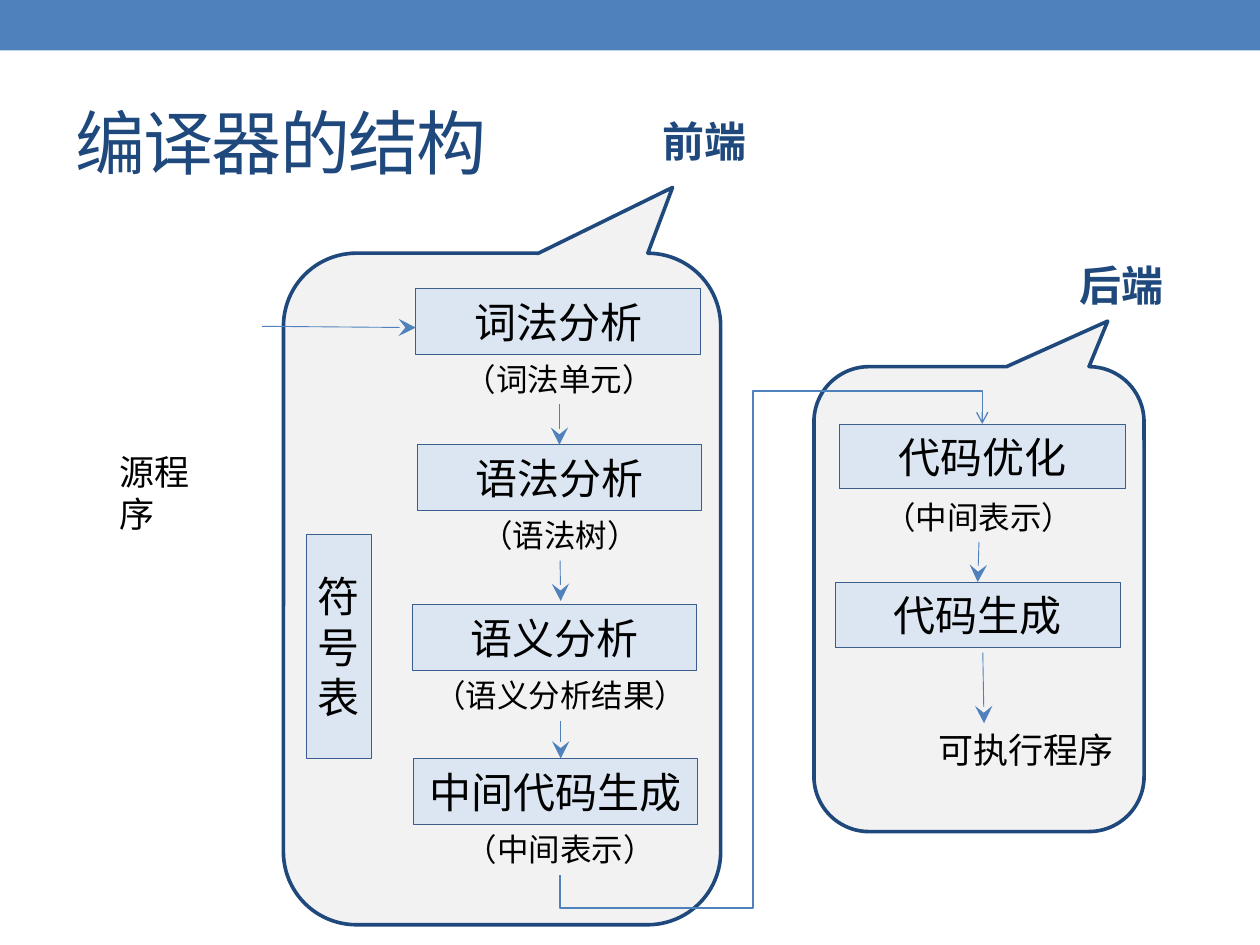
from lxml import etree
from pptx import Presentation
from pptx.dml.color import RGBColor
from pptx.enum import shapes as es, text as et
from pptx.oxml.ns import qn
from pptx.util import Inches, Pt

SANS = "Noto Sans CJK SC"
NAVY, BLUE, PALE, EDGE = "1F497D", "4F81BD", "DCE6F2", "3A5F8C"
LEFT, MID = et.PP_ALIGN.LEFT, et.PP_ALIGN.CENTER


def rgb(hexa):
    return RGBColor.from_string(hexa)


def write(frame, *parts, size=24, color="000000", bold=False, align=LEFT,
          anchor=et.MSO_ANCHOR.TOP, wrap=True, space=None):
    """Fill a frame with one paragraph; each part is text or (text, font)."""
    frame.word_wrap = wrap
    frame.vertical_anchor = anchor
    para = frame.paragraphs[0]
    para.alignment = align
    for part in parts:
        words, face = (part, SANS) if isinstance(part, str) else part
        run = para.add_run()
        run.text = words
        font = run.font
        font.size, font.bold, font.name = Pt(size), bold, face
        font.color.rgb = rgb(color)
        props = run._r.get_or_add_rPr()
        etree.SubElement(props, qn("a:ea")).set("typeface", face)
        if space is not None:
            props.set("spc", str(space))


def shape(slide, kind, x, y, w, h, fill, line=None, width=0.5):
    item = slide.shapes.add_shape(kind, Inches(x), Inches(y), Inches(w), Inches(h))
    item.shadow.inherit = False
    item.fill.solid()
    item.fill.fore_color.rgb = rgb(fill)
    if line:
        item.line.color.rgb = rgb(line)
        item.line.width = Pt(width)
    else:
        item.line.fill.background()
    return item


def rect(slide, *place, fill=PALE, line=None):
    return shape(slide, es.MSO_SHAPE.RECTANGLE, *place, fill, line)


def bubble(slide, x, y, w, h):
    item = shape(slide, es.MSO_SHAPE.ROUNDED_RECTANGULAR_CALLOUT,
                 x, y, w, h, "F2F2F2", NAVY, 2.08)
    for i, value in enumerate((0.39, -0.598, 0.167)):
        item.adjustments[i] = value


def step(slide, words, x, y, w=2.26, h=0.52):
    item = rect(slide, x, y, w, h, line=EDGE)
    frame = item.text_frame
    frame.margin_left = frame.margin_right = Inches(0.08)
    write(frame, words, align=MID, anchor=et.MSO_ANCHOR.MIDDLE)
    return item


def label(slide, x, y, w, h, *parts, size=20):
    item = slide.shapes.add_textbox(Inches(x), Inches(y), Inches(w), Inches(h))
    write(item.text_frame, *parts, size=size, wrap=False)
    return item


def note(slide, words, x, y, w=1.7):
    """Name of a result, in brackets, under its step."""
    return label(slide, x, y, w, 0.4, ("（", "Arial"), words, ("）", "Arial"), size=18)


def head(slide, words, x, y):
    item = rect(slide, x, y, 0.87, 0.5, fill="FFFFFF")
    write(item.text_frame, words, color=NAVY, bold=True)


def arrow(slide, start, end, src=None, dst=None, kind=es.MSO_CONNECTOR.STRAIGHT,
          width=0.5, tip="stealth", size="lg"):
    line = slide.shapes.add_connector(kind, *map(Inches, start + end))
    line.line.color.rgb = rgb(BLUE)
    line.line.width = Pt(width)
    etree.SubElement(line.line._get_or_add_ln(), qn("a:tailEnd"),
                     type=tip, w=size, len=size)
    etree.SubElement(line._element.spPr, qn("a:effectLst"))
    if src is not None:
        line.begin_connect(src, 2)
    if dst is not None:
        line.end_connect(dst, 0)
    return line


def detour(slide, src, dst):
    """Five-part elbow from under one box up and over to another's top."""
    line = arrow(slide, (4.45, 6.95), (7.8, 3.37), src, dst,
                 es.MSO_CONNECTOR.ELBOW, 0.75, "arrow", "med")
    line.left, line.top = Inches(4.33), Inches(3.48)
    line.width, line.height = Inches(3.58), Inches(3.35)
    frame = line._element.spPr.find(qn("a:xfrm"))
    for key, value in (("rot", "5400000"), ("flipH", "1"), ("flipV", "1")):
        frame.set(key, value)
    geom = line._element.spPr.find(qn("a:prstGeom"))
    geom.set("prst", "bentConnector5")
    guides = geom.find(qn("a:avLst"))
    for i, value in enumerate((-7300, 45700, 107300), 1):
        etree.SubElement(guides, qn("a:gd"), name=f"adj{i}", fmla=f"val {value}")


def main():
    deck = Presentation()
    deck.slide_width, deck.slide_height = Inches(10), Inches(7.5)
    slide = deck.slides.add_slide(deck.slide_layouts[5])

    # Top band and title
    rect(slide, 0, 0, 10, 0.4, fill=BLUE)
    title = slide.shapes.title
    title.left, title.top = Inches(0.5), Inches(0.58)
    title.width, title.height = Inches(9), Inches(1.08)
    write(title.text_frame, "编译器的结构", size=40, color=NAVY,
          anchor=et.MSO_ANCHOR.MIDDLE, space=-100)

    # Front end and back end
    bubble(slide, 6.46, 2.91, 2.62, 3.69)
    bubble(slide, 2.25, 2.01, 3.47, 5.33)
    head(slide, "前端", 5.16, 0.87)
    head(slide, "后端", 8.47, 2.01)

    # Steps
    step(slide, "词法分析", 3.3, 2.29)
    syntax = step(slide, "语法分析", 3.31, 3.53)
    step(slide, "语义分析", 3.27, 4.8)
    step(slide, "中间代码生成", 3.28, 6.02)
    tune = step(slide, "代码优化", 6.66, 3.37, 2.27, 0.51)
    emit = step(slide, "代码生成", 6.63, 4.62)
    step(slide, "符号表", 2.43, 4.24, 0.52, 1.78)

    # Results, input and output
    tokens = note(slide, "词法单元", 3.59, 2.81)
    tree = note(slide, "语法树", 3.72, 4.05, 1.45)
    sense = note(slide, "语义分析结果", 3.35, 5.32, 2.2)
    middle = note(slide, "中间表示", 3.6, 6.54)
    tuned = note(slide, "中间表示", 6.92, 3.9)
    label(slide, 0.85, 3.53, 1.03, 0.44, "源程序")
    label(slide, 7.35, 5.73, 1.59, 0.44, "可执行程序")

    # Flow
    arrow(slide, (2.08, 2.59), (3.3, 2.6))
    arrow(slide, (4.44, 3.21), (4.44, 3.53), tokens, syntax)
    arrow(slide, (4.44, 4.45), (4.45, 4.77), tree)
    arrow(slide, (4.45, 5.72), (4.45, 6.02), sense)
    arrow(slide, (7.77, 4.3), (7.78, 4.62), tuned, emit)
    arrow(slide, (7.8, 5.18), (7.81, 5.74))
    detour(slide, middle, tune)

    deck.save("out.pptx")


if __name__ == "__main__":
    main()
